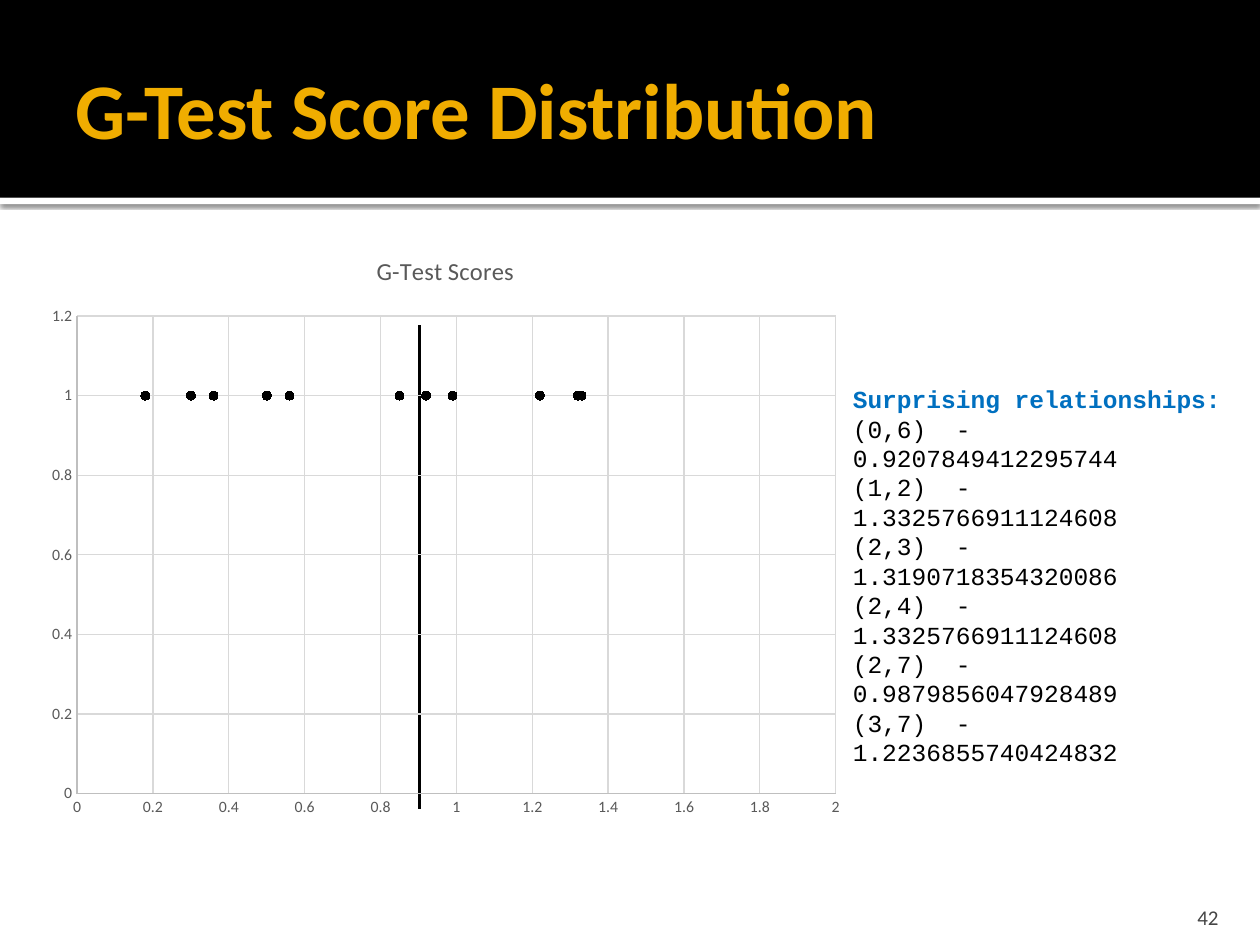
from lxml import etree
from pptx import Presentation
from pptx.chart.data import XyChartData
from pptx.dml.color import RGBColor
from pptx.enum.chart import XL_CHART_TYPE, XL_MARKER_STYLE, XL_TICK_MARK
from pptx.enum.shapes import MSO_CONNECTOR, MSO_SHAPE
from pptx.enum.text import MSO_ANCHOR, MSO_AUTO_SIZE, PP_ALIGN
from pptx.oxml import parse_xml
from pptx.oxml.ns import nsdecls, qn
from pptx.util import Inches, Pt

SCATTER = XL_CHART_TYPE.XY_SCATTER
CIRCLE = XL_MARKER_STYLE.CIRCLE
NO_TICK = XL_TICK_MARK.NONE
RECTANGLE = MSO_SHAPE.RECTANGLE
STRAIGHT = MSO_CONNECTOR.STRAIGHT
LEFT, RIGHT = PP_ALIGN.LEFT, PP_ALIGN.RIGHT
MIDDLE, BOTTOM, TOP = MSO_ANCHOR.MIDDLE, MSO_ANCHOR.BOTTOM, MSO_ANCHOR.TOP

# Content
TITLE = "G-Test Score Distribution"
PAGE_NUMBER = "42"
CHART_TITLE = "G-Test Scores"
SCORES = [0.18, 0.36, 0.92, 1.33, 0.56, 0.3, 0.5, 1.32, 1.33,
          0.36, 0.18, 0.99, 0.56, 0.36, 1.22, 0.5, 0.85]
FINDINGS_HEADING = "Surprising relationships:"
FINDINGS = [
    ("(0,6)", "0.9207849412295744"),
    ("(1,2)", "1.3325766911124608"),
    ("(2,3)", "1.3190718354320086"),
    ("(2,4)", "1.3325766911124608"),
    ("(2,7)", "0.9879856047928489"),
    ("(3,7)", "1.2236855740424832"),
]

# Theme and layout
THEME = {
    "black": "000000", "white": "FFFFFF", "axis": "BFBFBF", "grid": "D9D9D9",
    "title": {"name": "Calibri", "size": 45, "color": "F0AD00", "bold": True},
    "page": {"name": "Calibri", "size": 12, "color": "454545", "bold": False},
    "heading": {"name": "Courier New", "size": 14, "color": "0070C0", "bold": True},
    "finding": {"name": "Courier New", "size": 14, "color": "000000", "bold": False},
    "chart": {"name": "Calibri", "size": 10, "color": "000000", "bold": False},
    "chart_title": {"name": "Calibri", "size": 14, "color": "595959", "bold": False},
    "axis_label": {"name": "Calibri", "size": 9, "color": "595959", "bold": False},
}
BANDS = [((0, 1.57, 10, 0.05), "white", True), ((0, 0, 10, 1.57), "black", False)]
TITLE_BOX = (0.5, 0.17, 9, 1.37)
PAGE_BOX = (8.97, 7.08, 0.8, 0.3)
FINDINGS_BOX = (6.67, 3, 3.21, 1.75)
CHART_BOX = (0.28, 1.83, 6.51, 4.75)
PLOT_BOX = (0.61, 2.51, 6.02, 3.79)
THRESHOLD = (3.33, 2.58, 3.33, 6.42)
AXIS_STEP = 0.2


def inches(values):
    return [Inches(value) for value in values]


def rgb(value):
    return RGBColor.from_string(value)


def style_font(font, style):
    font.color.rgb = rgb(style["color"])
    font.size = Pt(style["size"])
    for name in ("name", "bold"):
        setattr(font, name, style[name])


def set_frame(frame, lines, anchor, margins, alignment=LEFT):
    settings = dict(zip(("margin_left", "margin_top", "margin_right", "margin_bottom"),
                        inches(margins)))
    settings.update(word_wrap=True, vertical_anchor=anchor)
    for name, value in settings.items():
        setattr(frame, name, value)
    for index, (text, style) in enumerate(lines):
        paragraph = frame.add_paragraph() if index else frame.paragraphs[0]
        paragraph.alignment = alignment
        run = paragraph.add_run()
        run.text = text
        style_font(run.font, THEME[style])


def add_shadow(shape):
    properties = shape.element.spPr
    for effects in properties.findall(qn("a:effectLst")):
        properties.remove(effects)
    properties.append(parse_xml(
        f'<a:effectLst {nsdecls("a")}>'
        f'<a:outerShdw blurRad="{Pt(2.5)}" dist="{Pt(0.8)}" dir="5400000" rotWithShape="0">'
        f'<a:srgbClr val="{THEME["black"]}"><a:alpha val="60000"/></a:srgbClr>'
        '</a:outerShdw></a:effectLst>'))


def set_plot_area(chart):
    left, top, width, height = CHART_BOX
    plot_left, plot_top, plot_width, plot_height = PLOT_BOX
    fractions = {"x": (plot_left - left) / width, "y": (plot_top - top) / height,
                 "w": plot_width / width, "h": plot_height / height}
    values = "".join(f'<c:{key} val="{value:.3f}"/>' for key, value in fractions.items())
    layout = parse_xml(
        f'<c:layout {nsdecls("c")}><c:manualLayout><c:layoutTarget val="inner"/>'
        f'<c:xMode val="edge"/><c:yMode val="edge"/>{values}</c:manualLayout></c:layout>')
    plot_area = chart.element.find(".//" + qn("c:plotArea"))
    for previous in plot_area.findall(qn("c:layout")):
        plot_area.remove(previous)
    plot_area.insert(0, layout)


def style_axis(axis, maximum):
    settings = {"minimum_scale": 0, "maximum_scale": maximum, "major_unit": AXIS_STEP,
                "has_major_gridlines": True, "major_tick_mark": NO_TICK,
                "minor_tick_mark": NO_TICK}
    for name, value in settings.items():
        setattr(axis, name, value)
    style_font(axis.tick_labels.font, THEME["axis_label"])
    for part, color in ((axis, "axis"), (axis.major_gridlines, "grid")):
        part.format.line.color.rgb = rgb(THEME[color])
        part.format.line.width = Pt(0.75)


def add_score_chart(slide):
    data = XyChartData()
    points = data.add_series("Series 1")
    for score in SCORES:
        points.add_data_point(score, 1)
    chart = slide.shapes.add_chart(SCATTER, *inches(CHART_BOX), data).chart
    style_font(chart.font, THEME["chart"])
    chart.has_legend = False
    chart.has_title = True
    set_frame_title = chart.chart_title.text_frame
    set_frame_title.text = CHART_TITLE
    style_font(set_frame_title.paragraphs[0].runs[0].font, THEME["chart_title"])
    chart.plots[0].vary_by_categories = False
    style_axis(chart.category_axis, 2)
    style_axis(chart.value_axis, 1.2)
    series = chart.plots[0].series[0]
    series.smooth = False
    series.format.line.fill.background()
    marker = series.marker
    marker.style, marker.size = CIRCLE, 5
    marker.format.fill.solid()
    marker.format.fill.fore_color.rgb = rgb(THEME["black"])
    marker.format.line.color.rgb = rgb(THEME["black"])
    set_plot_area(chart)


def main():
    presentation = Presentation()
    presentation.slide_width, presentation.slide_height = inches((10, 7.5))
    slide = presentation.slides.add_slide(presentation.slide_layouts[5])
    shapes = slide.shapes
    title = shapes.title

    # Header bands, kept behind the title
    for box, color, shadowed in BANDS:
        band = shapes.add_shape(RECTANGLE, *inches(box))
        band.shadow.inherit = False
        band.fill.solid()
        band.fill.fore_color.rgb = rgb(THEME[color])
        band.line.fill.background()
        if shadowed:
            add_shadow(band)
        title.element.addprevious(band.element)

    # Title and page number
    title.left, title.top, title.width, title.height = inches(TITLE_BOX)
    set_frame(title.text_frame, [(TITLE, "title")], MIDDLE, (0.1, 0.05, 0.05, 0.05))
    page = shapes.add_textbox(*inches(PAGE_BOX))
    set_frame(page.text_frame, [(PAGE_NUMBER, "page")], BOTTOM, (0.1, 0.05, 0.1, 0), RIGHT)

    # Threshold line behind the chart
    threshold = shapes.add_connector(STRAIGHT, *inches(THRESHOLD))
    threshold.line.color.rgb = rgb(THEME["black"])
    threshold.line.width = Pt(1.5)
    etree.SubElement(threshold.element.spPr, qn("a:effectLst"))

    # Findings
    findings = shapes.add_textbox(*inches(FINDINGS_BOX))
    lines = [(FINDINGS_HEADING, "heading")]
    lines += [(f"{pair}  -  {score}", "finding") for pair, score in FINDINGS]
    set_frame(findings.text_frame, lines, TOP, (0.1, 0.05, 0.1, 0.05))
    findings.text_frame.auto_size = MSO_AUTO_SIZE.SHAPE_TO_FIT_TEXT

    # Score chart
    add_score_chart(slide)
    presentation.save("out.pptx")


if __name__ == "__main__":
    main()
